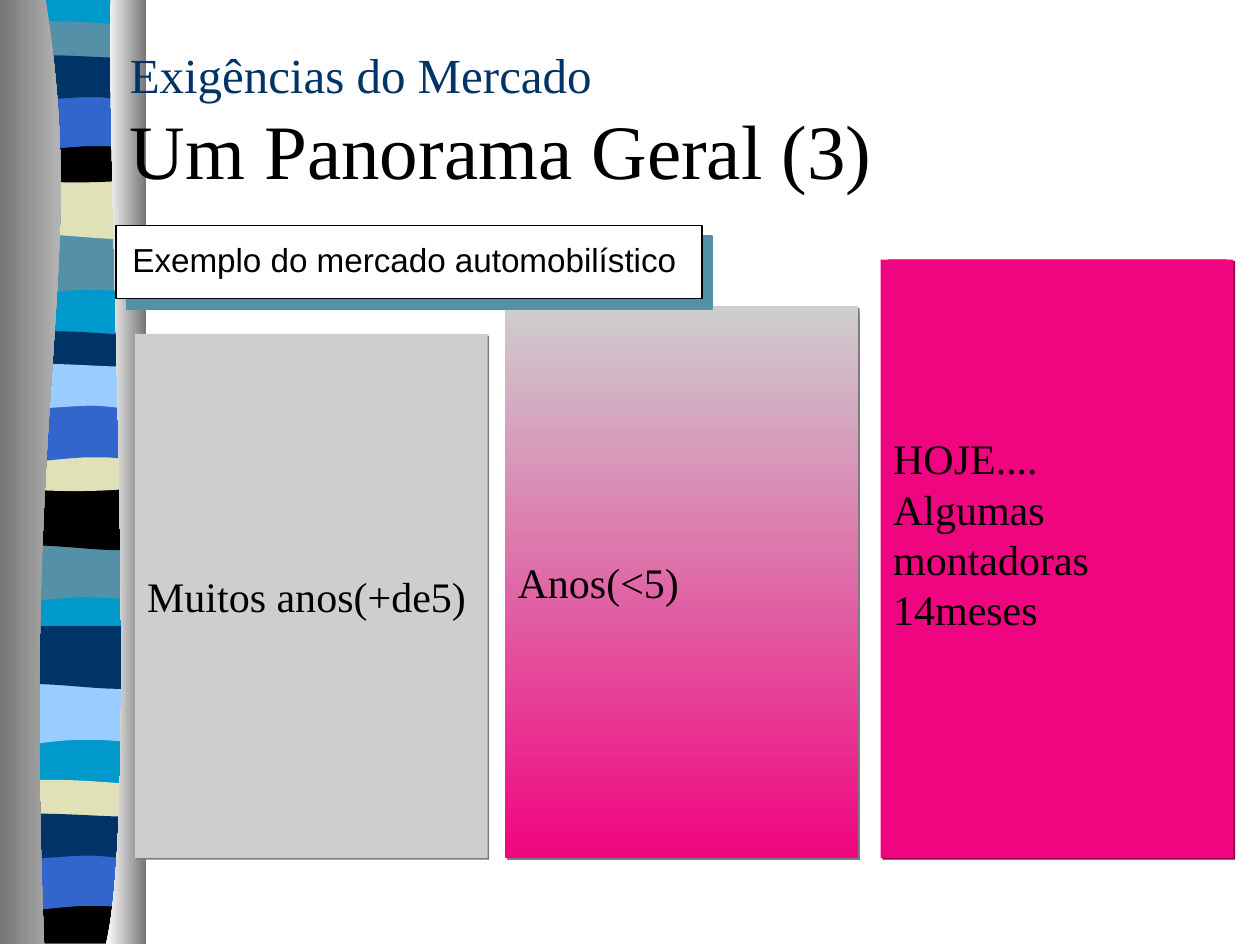
import pptx
import pptx.util
import pptx.dml.color
import pptx.enum.shapes
import pptx.enum.text
import pptx.oxml
import pptx.oxml.ns

UNIT = 9144
SERIF, SANS = "Times New Roman", "Arial"
NAVY, BLUE, TEAL, SAND = "003366", "3366CC", "5490A8", "E1E1B7"
SKY, BLACK, WHITE, GRAY = "99CCFF", "000000", "FFFFFF", "767676"
SILVER, PINK = "CECECE", "F00580"
RECT = pptx.enum.shapes.MSO_SHAPE.RECTANGLE
LEFT = pptx.enum.text.PP_ALIGN.LEFT
MID = pptx.enum.text.MSO_ANCHOR.MIDDLE

WAVES = {
    "bend": [(107, 0), (107, 47), (32, 38, 17, 54, 0, 47), (0, 0)],
    "sway": [(107, 0), (107, 47), (89, 55, 33, 42, 0, 47), (0, 0)],
    "lens": [(107, 0), (107, 24), (89, 28, 18, 28, 0, 24), (0, 0),
             (7, -5, 24, -4, 41, -4), (59, -4, 94, -1, 107, 0)],
    "bowl": [(107, 0), (107, 33), (89, 38, 18, 38, 0, 33), (0, 0),
             (65, 5, 84, 0, 107, 0)],
    "arch": [(107, 0), (107, 47), (90, 42, 83, 42, 66, 42),
             (48, 42, 16, 47, 0, 47), (0, 0)],
    "flag": [(107, 0), (107, 31), (100, 36, 84, 31, 66, 31),
             (48, 31, 11, 36, 0, 31), (0, 0),
             (15, -5, 73, 0, 90, 0), (108, 0, 103, 0, 107, 0)],
    "foot": [(107, 0), (107, 37), (0, 37), (0, 0), (65, 5, 84, 0, 107, 0)],
}
BANDS = [
    ("bend", 7, 186, TEAL), ("sway", 7, 140, SAND), ("lens", 7, 21, TEAL),
    ("bowl", 7, 108, BLACK), ("arch", 7, 74, BLUE), ("flag", 7, 46, NAVY),
    ("bend", 5, 430, TEAL), ("sway", 6, 387, BLACK), ("lens", 6, 267, NAVY),
    ("bowl", 6, 353, SAND), ("arch", 6, 321, BLUE), ("flag", 6, 291, SKY),
    ("bend", 5, 543, SKY), ("sway", 6, 497, NAVY), ("lens", 5, 623, SAND),
    ("foot", 5, 712, BLACK), ("arch", 4, 677, BLUE), ("flag", 4, 648, NAVY),
]
EDGES = [
    ([(36, 0), (71, 216, 17, 296, 35, 749), (0, 749), (0, 0)],
     (GRAY, "D3D3D3")),
    ([(88, 0), (84, 125, 111, 646, 84, 749), (116, 749), (116, 0)],
     (WHITE, GRAY)),
]
TITLE = [("Exigências do Mercado", 28, NAVY),
         ("Um Panorama Geral (3)", 44, BLACK)]
COLS = [
    (107, 265, SILVER, "7C7C7C", ["Muitos anos(+de5)"], 5),
    (401, 243, (SILVER, PINK), "7C7C7C", ["Anos(<5)"], 5),
    (699, 206, PINK, "90034D",
     ["HOJE....", "Algumas\vmontadoras", "14meses"], 45),
]
WIDE, BASE = 280, 681
LABEL = "Exemplo do mercado automobilístico"


def px(num):
    return pptx.util.Emu(round(num * UNIT))


def hue(code):
    return pptx.dml.color.RGBColor.from_string(code)


def put(item, form):
    for key, val in form.items():
        setattr(item, key, val)


def paint(shape, fill, angle=0):
    shape.shadow.inherit = False
    shape.line.fill.background()
    if isinstance(fill, str):
        shape.fill.solid()
        shape.fill.fore_color.rgb = hue(fill)
        return
    shape.fill.gradient()
    shape.fill.gradient_angle = angle
    for stop, code in zip(shape.fill.gradient_stops, fill):
        stop.color.rgb = hue(code)


def shade(shape, code, dist):
    space = pptx.oxml.ns.nsdecls("a")
    node = pptx.oxml.parse_xml(
        f'<a:outerShdw {space} dist="{round(dist * 12700)}" dir="2700000" '
        f'algn="tl" rotWithShape="0"><a:srgbClr val="{code}"/></a:outerShdw>')
    shape._element.spPr.find(pptx.oxml.ns.qn("a:effectLst")).append(node)


def draw(shapes, steps, fill, dx=0, dy=0):
    dots = [(px(x + dx), px(y + dy)) for step in steps
            for x, y in zip(step[::2], step[1::2])]
    pen = shapes.build_freeform(*dots[0], scale=1.0)
    pen.add_line_segments(dots[1:], close=True)
    shape = pen.convert_to_shape()
    lines = iter(list(shape._element.iter(pptx.oxml.ns.qn("a:lnTo"))))
    for step in steps[1:]:
        line = next(lines)
        if len(step) == 6:
            curve = pptx.oxml.parse_xml(
                f'<a:cubicBezTo {pptx.oxml.ns.nsdecls("a")}/>')
            line.addprevious(curve)
            for part in (line, next(lines), next(lines)):
                curve.append(part[0])
                part.getparent().remove(part)
    paint(shape, fill)


def block(shapes, box, fill, angle=0):
    shape = shapes.add_shape(RECT, *map(px, box))
    paint(shape, fill, angle)
    return shape


def frame(shape, side, top, low):
    text = shape.text_frame
    put(text, {"word_wrap": True, "margin_left": px(side),
               "margin_right": px(side), "margin_top": px(top),
               "margin_bottom": px(low)})
    return text


def style(font, size, code, name=SERIF):
    put(font, {"size": pptx.util.Pt(size), "name": name})
    font.color.rgb = hue(code)


def main():
    deck = pptx.Presentation()
    put(deck, {"slide_width": px(1000), "slide_height": px(750)})
    shapes = deck.slides.add_slide(deck.slide_layouts[6]).shapes

    block(shapes, (7, 0, 107, 747), "0099CC")
    for wave, x, y, code in BANDS:
        draw(shapes, WAVES[wave], code, x, y)
    for steps, fill in EDGES:
        draw(shapes, steps, fill)

    head = shapes.add_textbox(*map(px, (95, 31, 905, 180)))
    para = frame(head, 8, 4, 4).paragraphs[0]
    for i, (words, size, code) in enumerate(TITLE):
        if i:
            para.add_line_break()
        run = para.add_run()
        run.text = words
        style(run.font, size, code)

    for x, y, fill, dark, lines, low in COLS:
        col = block(shapes, (x, y, WIDE, BASE - y), fill, 270)
        shade(col, dark, 1.4)
        text = frame(col, 10, 5, low)
        text.vertical_anchor = MID
        text.text = "\n".join(lines)
        for para in text.paragraphs:
            para.alignment = LEFT
            for run in para.runs:
                style(run.font, 24, BLACK)
    block(shapes, (705, 206, 269, 30), PINK)

    card = block(shapes, (92, 179, 465, 58), WHITE)
    card.line.color.rgb = hue(BLACK)
    card.line.width = pptx.util.Pt(1)
    shade(card, TEAL, 8.5)
    note = shapes.add_textbox(*map(px, (95, 186, 452, 40)))
    para = frame(note, 8, 4, 4).paragraphs[0]
    para.alignment = pptx.enum.text.PP_ALIGN.CENTER
    run = para.add_run()
    run.text = LABEL
    style(run.font, 19, BLACK, SANS)

    deck.save("out.pptx")


if __name__ == "__main__":
    main()
